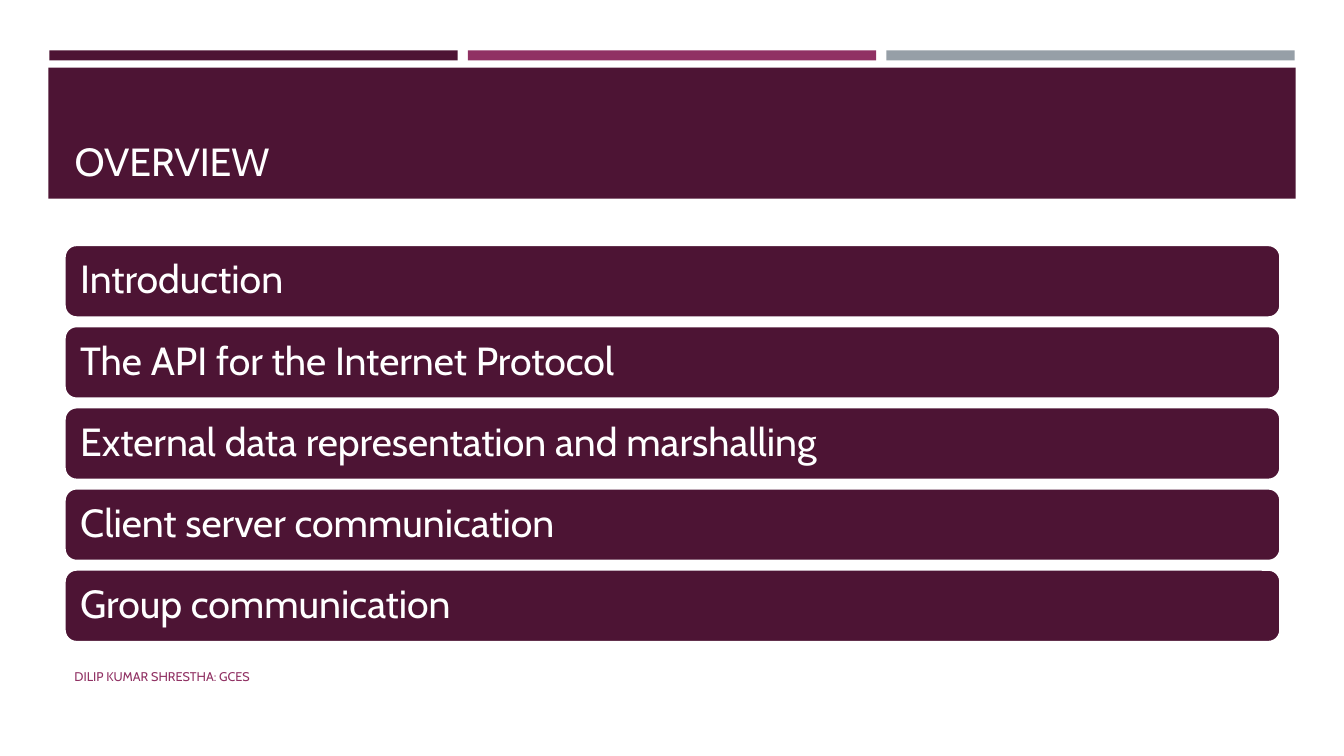
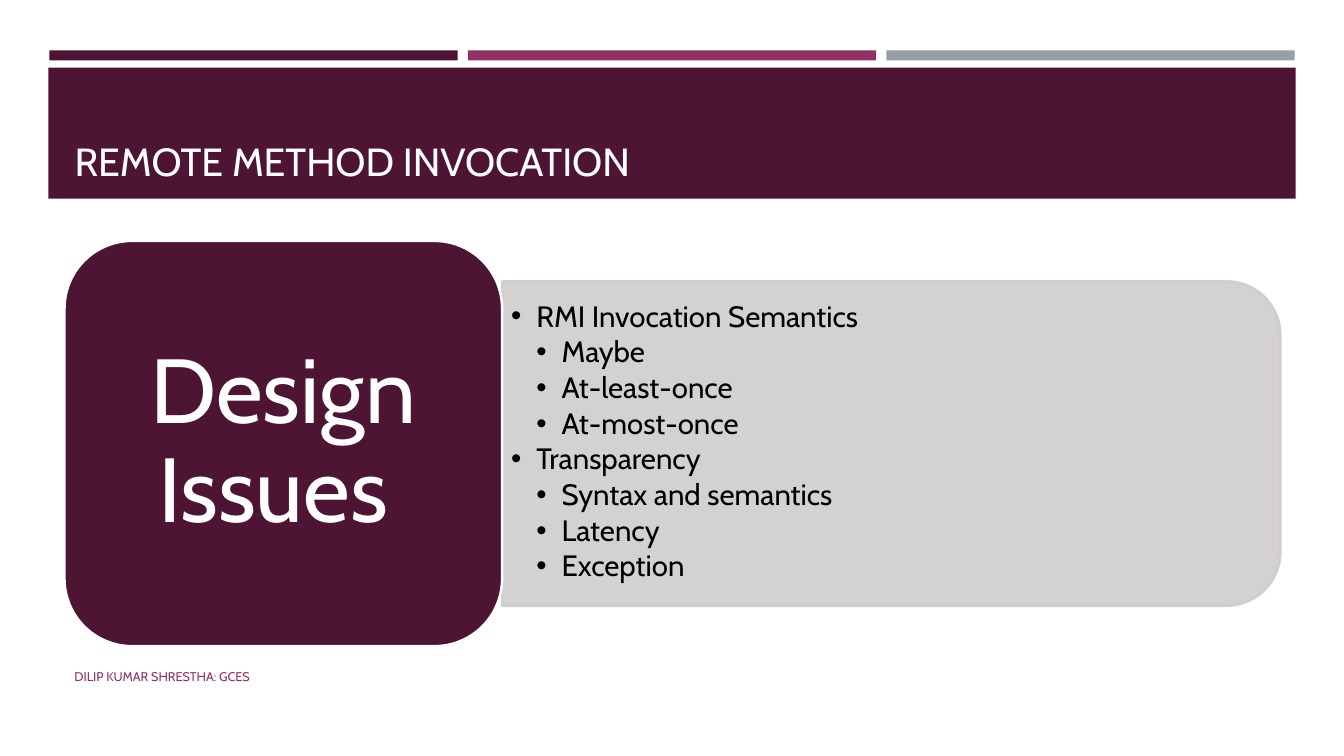
"""Build two lecture slides on remote invocation with a shared banded master."""

import dataclasses
import typing

import lxml.etree
import pptx
import pptx.dml.color
import pptx.enum.shapes
import pptx.enum.text
import pptx.oxml.ns
import pptx.presentation
import pptx.shapes.autoshape
import pptx.slide
import pptx.text.text
import pptx.util

Inches = pptx.util.Inches
Pt = pptx.util.Pt
Preset = pptx.enum.shapes.MSO_SHAPE
Anchor = pptx.enum.text.MSO_ANCHOR
Align = pptx.enum.text.PP_ALIGN
Paragraph = pptx.text.text._Paragraph
qualified = pptx.oxml.ns.qn


@dataclasses.dataclass(frozen=True)
class Theme:
    font: str = "Cabin"
    plum: str = "4D1434"
    magenta: str = "903163"
    slate: str = "969FA7"
    mist: str = "D0CCCE"
    white: str = "FFFFFF"
    black: str = "000000"
    title_size: float = 28
    topic_size: float = 28
    heading_size: float = 65
    list_size: float = 21
    footer_size: float = 9
    outline: float = 1.75


@dataclasses.dataclass(frozen=True)
class Box:
    left: float
    top: float
    width: float
    height: float

    def place(self) -> dict[str, int]:
        return {name: Inches(value) for name, value in dataclasses.asdict(self).items()}


@dataclasses.dataclass(frozen=True)
class Panel:
    box: Box
    color: str
    preset: Preset = Preset.RECTANGLE
    outline: str | None = None


@dataclasses.dataclass(frozen=True)
class TextStyle:
    size: float
    color: str
    anchor: Anchor = Anchor.MIDDLE
    alignment: Align = Align.LEFT
    line_spacing: float = 1.0
    space_after: float = 0
    margins: tuple[float, float] = (0.1, 0.05)


@dataclasses.dataclass(frozen=True)
class ListItem:
    text: str
    level: int = 0


THEME = Theme()
LEFT, CONTENT_WIDTH = 0.64, 12.06
BAND_WIDTH, BAND_PITCH = 4.05, 4.15
TOPIC_TOP, TOPIC_BOTTOM, TOPIC_HEIGHT = 2.43, 6.37, 0.72
BULLET_INDENT = 0.25

TITLE_BOX = Box(LEFT, 0.77, CONTENT_WIDTH, 1.11)
FOOTER_BOX = Box(LEFT, 6.51, 7.56, 0.4)
HEADING_BOX = Box(LEFT, 2.39, 4.34, 4.02)
LIST_BOX = Box(4.98, 2.94, 7.56, 2.9)
LIST_PANEL_BOX = Box(7.23, 0.54, 3.22, 7.72)

TITLE_STYLE = TextStyle(THEME.title_size, THEME.white, anchor=Anchor.BOTTOM)
FOOTER_STYLE = TextStyle(THEME.footer_size, THEME.magenta)
TOPIC_STYLE = TextStyle(THEME.topic_size, THEME.white, line_spacing=0.9, margins=(0.12, 0.12))
HEADING_STYLE = TextStyle(
    THEME.heading_size, THEME.white, alignment=Align.CENTER, line_spacing=0.9, margins=(0.27, 0.14)
)
LIST_STYLE = TextStyle(
    THEME.list_size, THEME.black, line_spacing=0.9, space_after=2.8, margins=(0.09, 0.04)
)

MASTER_PANELS = [
    Panel(Box(0.49 + index * BAND_PITCH, 0.5, BAND_WIDTH, 0.1), color)
    for index, color in enumerate((THEME.plum, THEME.magenta, THEME.slate))
] + [Panel(Box(0.48, 0.67, 12.37, 1.3), THEME.plum)]

FOOTER = "DILIP KUMAR SHRESTHA: GCES"
TOPICS = [
    "Introduction",
    "The API for the Internet Protocol",
    "External data representation and marshalling",
    "Client server communication",
    "Group communication",
]
DESIGN_ISSUES = [
    ListItem("RMI Invocation Semantics"),
    ListItem("Maybe", 1),
    ListItem("At-least-once", 1),
    ListItem("At-most-once", 1),
    ListItem("Transparency"),
    ListItem("Syntax and semantics", 1),
    ListItem("Latency", 1),
    ListItem("Exception", 1),
]


def apply_format(target: typing.Any, values: dict[str, typing.Any]) -> None:
    for name, value in values.items():
        setattr(target, name, value)


def rgb(color: str) -> pptx.dml.color.RGBColor:
    return pptx.dml.color.RGBColor.from_string(color)


def write_text(frame: pptx.text.text.TextFrame, lines: list[str], style: TextStyle) -> None:
    side, edge = (Inches(margin) for margin in style.margins)
    frame.text = "\n".join(lines)
    apply_format(frame, {
        "word_wrap": True,
        "auto_size": pptx.enum.text.MSO_AUTO_SIZE.NONE,
        "vertical_anchor": style.anchor,
        "margin_left": side,
        "margin_right": side,
        "margin_top": edge,
        "margin_bottom": edge,
    })
    for paragraph in frame.paragraphs:
        apply_format(paragraph, {
            "alignment": style.alignment,
            "line_spacing": style.line_spacing,
            "space_before": Pt(0),
            "space_after": Pt(style.space_after),
        })
        for run in paragraph.runs:
            apply_format(run.font, {"name": THEME.font, "size": Pt(style.size)})
            run.font.color.rgb = rgb(style.color)


def add_panel(slide: pptx.slide.Slide, panel: Panel) -> pptx.shapes.autoshape.Shape:
    shape = slide.shapes.add_shape(panel.preset, **panel.box.place())
    shape.shadow.inherit = False
    shape.fill.solid()
    shape.fill.fore_color.rgb = rgb(panel.color)
    if panel.outline:
        shape.line.color.rgb = rgb(panel.outline)
        shape.line.width = Pt(THEME.outline)
    else:
        shape.line.fill.background()
    return shape


def add_rounded_text(slide: pptx.slide.Slide, box: Box, text: str, style: TextStyle) -> None:
    shape = add_panel(slide, Panel(box, THEME.plum, Preset.ROUNDED_RECTANGLE, THEME.white))
    write_text(shape.text_frame, [text], style)


def set_opacity(shape: pptx.shapes.autoshape.Shape, percent: int) -> None:
    for color in shape.element.spPr.iter(qualified("a:srgbClr")):
        lxml.etree.SubElement(color, qualified("a:alpha"), val=str(percent * 1000))


def set_bullet(paragraph: Paragraph, level: int) -> None:
    paragraph.level = level
    properties = paragraph._p.get_or_add_pPr()
    properties.set("marL", str(Inches(BULLET_INDENT * (level + 1))))
    properties.set("indent", str(-Inches(BULLET_INDENT)))
    lxml.etree.SubElement(properties, qualified("a:buFont"), typeface="Arial")
    lxml.etree.SubElement(properties, qualified("a:buChar"), char="•")


def decorate_master(presentation: pptx.presentation.Presentation, slide: pptx.slide.Slide) -> None:
    for number, panel in enumerate(MASTER_PANELS, start=101):
        element = add_panel(slide, panel).element
        element.nvSpPr.cNvPr.set("id", str(number))
        presentation.slide_master.shapes.element.append(element)


def add_slide(
    presentation: pptx.presentation.Presentation, layout_name: str, title: str
) -> pptx.slide.Slide:
    slide = presentation.slides.add_slide(presentation.slide_layouts.get_by_name(layout_name))
    apply_format(slide.shapes.title, TITLE_BOX.place())
    write_text(slide.shapes.title.text_frame, [title], TITLE_STYLE)
    footer = slide.shapes.add_textbox(**FOOTER_BOX.place())
    write_text(footer.text_frame, [FOOTER], FOOTER_STYLE)
    return slide


def fill_overview(slide: pptx.slide.Slide) -> None:
    pitch = (TOPIC_BOTTOM - TOPIC_TOP - TOPIC_HEIGHT) / (len(TOPICS) - 1)
    for index, topic in enumerate(TOPICS):
        box = Box(LEFT, TOPIC_TOP + index * pitch, CONTENT_WIDTH, TOPIC_HEIGHT)
        add_rounded_text(slide, box, topic, TOPIC_STYLE)


def fill_design_issues(slide: pptx.slide.Slide) -> None:
    list_panel = add_panel(
        slide, Panel(LIST_PANEL_BOX, THEME.mist, Preset.ROUND_2_SAME_RECTANGLE, THEME.mist)
    )
    list_panel.rotation = 90
    set_opacity(list_panel, 90)
    body = slide.placeholders[1]
    apply_format(body, LIST_BOX.place())
    write_text(body.text_frame, [item.text for item in DESIGN_ISSUES], LIST_STYLE)
    for paragraph, item in zip(body.text_frame.paragraphs, DESIGN_ISSUES):
        set_bullet(paragraph, item.level)
    slide.shapes.element.append(body.element)
    add_rounded_text(slide, HEADING_BOX, "Design Issues ", HEADING_STYLE)


def main() -> None:
    presentation = pptx.Presentation()
    apply_format(presentation, {"slide_width": Inches(13.33), "slide_height": Inches(7.5)})
    overview = add_slide(presentation, "Title Only", "OVERVIEW")
    decorate_master(presentation, overview)
    fill_overview(overview)
    fill_design_issues(add_slide(presentation, "Title and Content", "REMOTE METHOD INVOCATION"))
    presentation.save("out.pptx")


if __name__ == "__main__":
    main()
